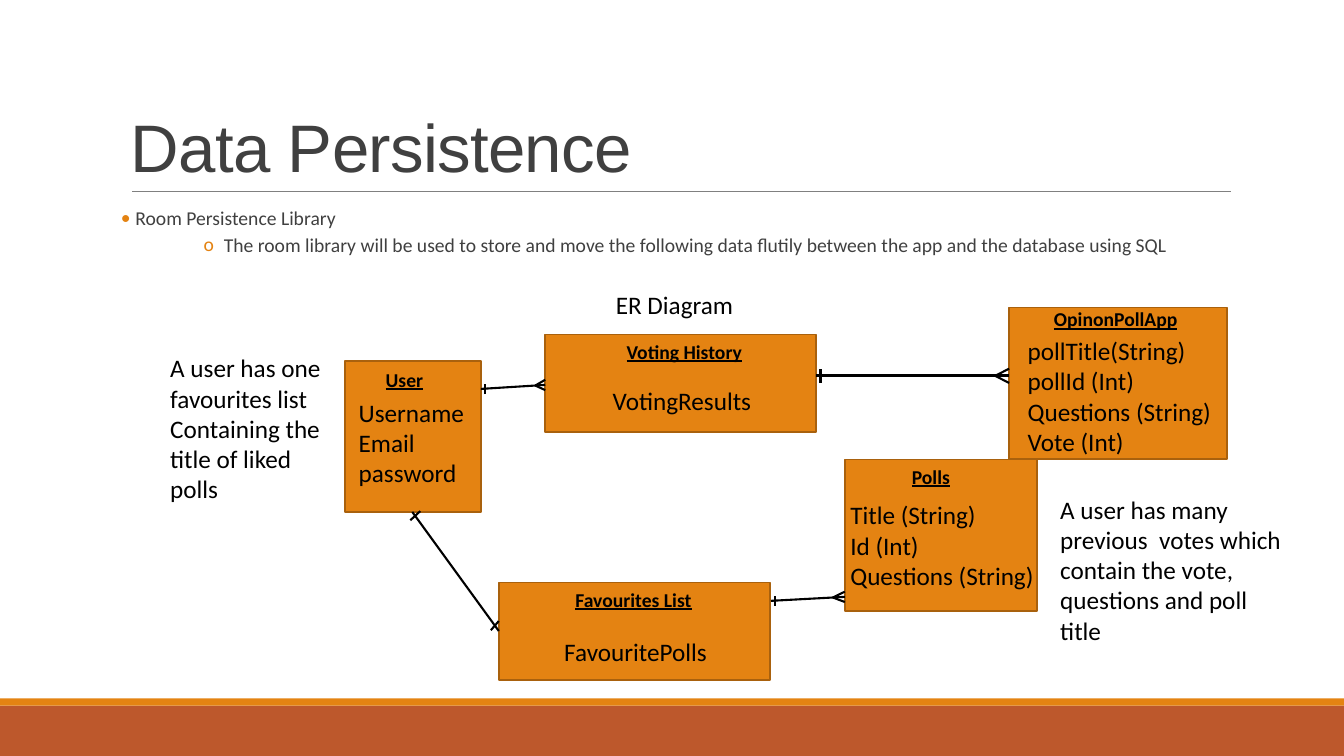
from lxml import etree
from pptx import Presentation
from pptx.dml.color import RGBColor
from pptx.enum.shapes import MSO_CONNECTOR, MSO_SHAPE
from pptx.enum.text import MSO_ANCHOR
from pptx.oxml.ns import qn
from pptx.util import Cm, Pt

RECT = MSO_SHAPE.RECTANGLE
LINE = MSO_CONNECTOR.STRAIGHT
TOP, BOTTOM = MSO_ANCHOR.TOP, MSO_ANCHOR.BOTTOM

COLORS = {"orange": "E48312", "rust": "BD582C", "edge": "A9610D",
          "gray": "808080", "dark": "404040", "black": "000000"}

# Content: places are left, top, width, height in cm
TITLE = "Data Persistence"
BULLETS = [  # text, mark, margin, hang, space before, space after
    (" Room Persistence Library", "•", 0.25, 0.25, 0, 2),
    ("The room library will be used to store and move the following data "
     "flutily between the app and the database using SQL", "o", 2.59, 0.51, 2, 4),
]
ENTITIES = [  # name, box, name place, fields, fields place, wrap
    ("Favourites List", (12.57, 14.68, 6.83, 2.46), (14.25, 14.68, 3.45, 0.86),
     ["FavouritePolls"], (13.97, 15.9, 4.14, 1.02), False),
    ("User", (8.69, 9.09, 3.43, 3.81), (9.47, 9.14, 1.47, 0.86),
     ["Username", "Email", "password"], (8.79, 9.88, 3.2, 2.57), False),
    ("Polls", (21.29, 11.58, 4.85, 3.81), (22.73, 11.58, 1.5, 0.86),
     ["Title (String)", "Id (Int)", "Questions (String)"],
     (21.18, 12.47, 5.18, 2.57), False),
    ("OpinonPollApp", (25.43, 7.75, 5.49, 3.81), (26.31, 7.62, 3.66, 0.86),
     ["pollTitle(String)", "pollId (Int)", "Questions (String)", "Vote (Int)"],
     (25.65, 8.33, 5.33, 3.33), True),
    ("Voting History", (13.74, 8.43, 6.83, 2.46), (15.54, 8.43, 3.45, 0.86),
     ["VotingResults"], (15.19, 9.58, 4.04, 1.02), False),
]
NOTES = [  # paragraphs, place, wrap
    (["A user has one favourites list", "Containing the title of liked polls"],
     (4.04, 8.76, 4.62, 4.11), True),
    (["A user has many previous  votes which contain the vote, "
      "questions and poll title"], (26.47, 12.32, 6.32, 4.11), True),
    (["ER Diagram"], (15.27, 7.16, 3.51, 1.02), False),
]
MANY = [  # start, end, line width, foot length, foot spread
    ((12.12, 9.8), (13.74, 9.7), 1.5, 0.25, 0.13),
    ((20.57, 9.47), (25.43, 9.47), 2.25, 0.35, 0.18),
    ((19.43, 15.14), (21.29, 15.04), 1.5, 0.3, 0.13),
]
ONE = [  # the link from user to favourites, then its end ticks
    ((10.39, 12.9), (12.57, 15.9)),
    ((12.37, 15.88), (12.57, 15.65)),
    ((10.34, 13.11), (10.59, 12.88)),
]

deck = Presentation()
deck.slide_width, deck.slide_height = Cm(33.87), Cm(19.05)
slide = deck.slides.add_slide(deck.slide_layouts[6])
shapes = slide.shapes


def rgb(name):
    return RGBColor.from_string(COLORS[name])


def block(place, fill, edge=None):
    box = shapes.add_shape(RECT, *map(Cm, place))
    box.shadow.inherit = False
    box.fill.solid()
    box.fill.fore_color.rgb = rgb(fill)
    if edge:
        box.line.color.rgb = rgb(edge)
        box.line.width = Pt(1.25)
    else:
        box.line.fill.background()


def text(lines, place, size=18, font="Calibri", color="black", head=False,
         wrap=False, anchor=TOP, inset=0.25, lead=None, track=None):
    frame = shapes.add_textbox(*map(Cm, place)).text_frame
    frame.word_wrap = wrap
    frame.vertical_anchor = anchor
    frame.margin_left = frame.margin_right = Cm(inset)
    for i, line in enumerate(lines):
        para = frame.paragraphs[0] if i == 0 else frame.add_paragraph()
        if lead:
            para.line_spacing = lead
        run = para.add_run()
        run.text = line
        run.font.size, run.font.name = Pt(size), font
        run.font.color.rgb = rgb(color)
        if head:
            run.font.bold = run.font.underline = True
        if track:
            run.font._element.set("spc", str(track))
    return frame


def bullet(para, mark, margin, hang):
    props = para._p.get_or_add_pPr()
    props.set("marL", str(Cm(margin)))
    props.set("indent", str(-Cm(hang)))
    tint = etree.SubElement(props, qn("a:buClr"))
    etree.SubElement(tint, qn("a:srgbClr")).set("val", COLORS["orange"])
    etree.SubElement(props, qn("a:buFont")).set("typeface", "Calibri")
    etree.SubElement(props, qn("a:buChar")).set("char", mark)


def line(start, end, width=1.5, color="black"):
    link = shapes.add_connector(LINE, *map(Cm, start + end))
    link.line.color.rgb = rgb(color)
    link.line.width = Pt(width)
    etree.SubElement(link._element.spPr, qn("a:effectLst"))


# Frame of the slide
block((0, 17.78, 33.87, 1.27), "rust")
block((0, 17.6, 33.87, 0.18), "orange")
line((3.33, 4.83), (31.01, 4.83), 0.5, "gray")

# Title and bullets
text([TITLE], (3.05, 0.79, 27.94, 4.04), size=48, font="Arial", color="dark",
     wrap=True, anchor=BOTTOM, lead=0.85, track=-50)
body = text([item[0] for item in BULLETS], (3.05, 5.13, 27.94, 2.08), size=14,
            color="dark", wrap=True, inset=0, lead=0.9)
for para, (_, mark, margin, hang, before, after) in zip(body.paragraphs, BULLETS):
    para.space_before, para.space_after = Pt(before), Pt(after)
    bullet(para, mark, margin, hang)

# Entities and notes
for name, box, top, fields, spot, wrap in ENTITIES:
    block(box, "orange", "edge")
    text([name], top, size=14, head=True)
    text(fields, spot, wrap=wrap)
for lines, spot, wrap in NOTES:
    text(lines, spot, wrap=wrap)

# One-to-one link
for start, end in ONE:
    line(start, end)

# One-to-many links: a tick at the start, a crow's foot at the end
for start, end, width, reach, spread in MANY:
    line(start, end, width)
    (x1, y1), (x2, y2) = start, end
    slope = (y2 - y1) / (x2 - x1)
    for side in (-spread, spread):
        line((x2 - reach, y2 - reach * slope), (x2, y2 + side))
    tick = x1 + 0.1
    line((tick, y1 + spread), (tick, y1 - spread), width)

deck.save("out.pptx")
